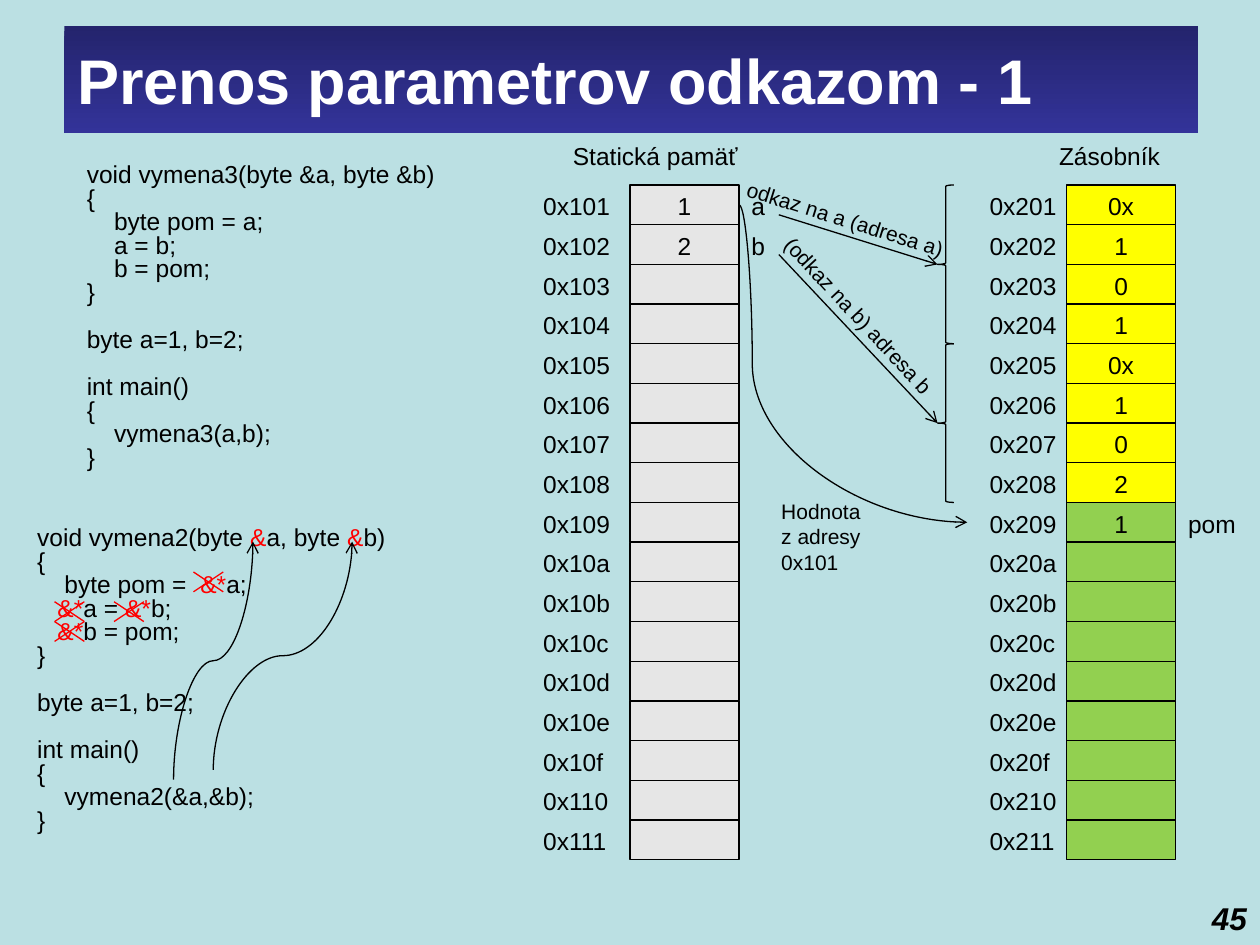
from lxml import etree
from pptx import Presentation
from pptx.dml.color import RGBColor
from pptx.enum.shapes import MSO_CONNECTOR, MSO_SHAPE
from pptx.enum.text import MSO_ANCHOR, MSO_AUTO_SIZE, PP_ALIGN
from pptx.oxml.ns import qn
from pptx.util import Cm, Pt

RECT, BRACE = MSO_SHAPE.RECTANGLE, MSO_SHAPE.LEFT_BRACE
STRAIGHT, CURVE = MSO_CONNECTOR.STRAIGHT, MSO_CONNECTOR.CURVE
TOP, MIDDLE = MSO_ANCHOR.TOP, MSO_ANCHOR.MIDDLE
LEFT, CENTER = PP_ALIGN.LEFT, PP_ALIGN.CENTER
NO_AUTOFIT = MSO_AUTO_SIZE.NONE

FONT = "Arial"
BLACK, RED, WHITE = "000000", "FF0000", "FFFFFF"
GREY, YELLOW, GREEN = "E6E6E6", "FFFF00", "92D050"
ROWS, ROW_H, CELL_W, MEMORY_TOP = 17, 0.8, 2.2, 3.73
LABEL_H = 0.86
STATIC_X, STACK_X = 12.7, 21.5
BLANK_LINE = 13.5

BYTE_VARS = [(0, "byte a=1, b=2;")]
CODE_REFERENCES = [
    [(0, "void vymena3(byte &a, byte &b)"), (0, "{"), (0.55, "byte pom = a;"),
     (0.55, "a = b;"), (0.55, "b = pom;"), (0, "}")],
    BYTE_VARS,
    [(0, "int main()"), (0, "{"), (0.55, "vymena3(a,b);"), (0, "}")],
]
CODE_POINTERS = [
    [(0, "void vymena2(byte |&|a, byte |&|b)"), (0, "{"),
     (0.55, "byte pom =  |&*|a;"), (0.41, "|&*|a = |&*|b;"),
     (0.41, "|&*|b = pom;"), (0, "}")],
    BYTE_VARS,
    [(0, "int main()"), (0, "{"), (0.55, "vymena2(&a,&b);"), (0, "}")],
]
CROSSES = [(3.9, 11.53), (1.1, 12.13), (2.3, 12.13), (1.1, 12.53)]


def rgb(color):
    return RGBColor.from_string(color)


def row_top(row):
    return MEMORY_TOP + row * ROW_H


def style_run(r, size, color=BLACK, bold=False, italic=False):
    r.font.name = FONT
    r.font.size = Pt(size)
    r.font.color.rgb = rgb(color)
    r.font.bold = bold
    r.font.italic = italic


def add_text(shapes, text, x, y, w, h=LABEL_H, size=14, wrap=True,
             rotation=0, emphasis=False):
    sp = shapes.add_textbox(Cm(x), Cm(y), Cm(w), Cm(h))
    sp.rotation = rotation
    tf = sp.text_frame
    tf.word_wrap = wrap
    tf.text = text
    style_run(tf.paragraphs[0].runs[0], size, bold=emphasis, italic=emphasis)


def add_outlined(shapes, kind, x, y, w, h, fill=None):
    sp = shapes.add_shape(kind, Cm(x), Cm(y), Cm(w), Cm(h))
    sp.shadow.inherit = False
    if fill:
        sp.fill.solid()
        sp.fill.fore_color.rgb = rgb(fill)
    else:
        sp.fill.background()
    sp.line.color.rgb = rgb(BLACK)
    sp.line.width = Pt(0.75)
    return sp


def add_cell(shapes, x, y, text, fill):
    sp = add_outlined(shapes, RECT, x, y, CELL_W, ROW_H, fill)
    tf = sp.text_frame
    tf.vertical_anchor = TOP
    if text:
        tf.text = text
        p = tf.paragraphs[0]
        p.alignment = CENTER
        style_run(p.runs[0], 14)


def add_memory(s, heading, heading_x, heading_w, label_x, cell_x, first, values, fills):
    shapes = s.shapes.add_group_shape().shapes
    add_text(shapes, heading, heading_x, 2.72, heading_w, wrap=False)
    for row in range(ROWS):
        text = values[row] if row < len(values) else ""
        add_cell(shapes, cell_x, row_top(row), text, fills[row])
        add_text(shapes, f"0x{first + row:x}", label_x, row_top(row), 2)


def add_line(s, kind, x1, y1, x2, y2, color=BLACK, arrow=False):
    cxn = s.shapes.add_connector(kind, Cm(x1), Cm(y1), Cm(x2), Cm(y2))
    cxn.line.color.rgb = rgb(color)
    cxn.line.width = Pt(0.75)
    if arrow:
        etree.SubElement(cxn.line._get_or_add_ln(), qn("a:tailEnd"), type="arrow")
    etree.SubElement(cxn._element.spPr, qn("a:effectLst"))
    return cxn


def add_upward_curve(s, x1, y1, x2, y2):
    cx, cy = (x1 + x2) / 2, (y1 + y2) / 2
    half_w, half_h = (y1 - y2) / 2, (x2 - x1) / 2
    cxn = add_line(s, CURVE, cx + half_w, cy + half_h, cx - half_w, cy - half_h, arrow=True)
    cxn._element.spPr.find(qn("a:xfrm")).set("rot", str(90 * 60000))


def bend_curve(cxn, share):
    guides = cxn._element.spPr.find(qn("a:prstGeom")).get_or_add_avLst()
    etree.SubElement(guides, qn("a:gd"), name="adj1", fmla=f"val {round(share * 100000)}")


def add_code(s, blocks, x, y):
    sp = s.shapes.add_textbox(Cm(x), Cm(y), Cm(10.77), Cm(6.48))
    tf = sp.text_frame
    tf.word_wrap = True
    p = None
    for block in blocks:
        for number, (indent, line) in enumerate(block):
            new_block = p is not None and number == 0
            p = tf.paragraphs[0] if p is None else tf.add_paragraph()
            p.line_spacing = 0.8
            if new_block:
                p.space_before = Pt(BLANK_LINE)
            if indent:
                p._p.get_or_add_pPr().set("marL", str(Cm(indent)))
            for part_number, part in enumerate(line.split("|")):
                if part:
                    r = p.add_run()
                    r.text = part
                    style_run(r, 14, RED if part_number % 2 else BLACK)


def set_title(s, text):
    sp = s.shapes.title
    sp.left, sp.top, sp.width, sp.height = Cm(1.3), Cm(0.53), Cm(22.86), Cm(2.15)
    sp.fill.gradient()
    sp.fill.gradient_angle = 270
    for stop, color, position in zip(sp.fill.gradient_stops, ("24246D", "333399"), (0, 1)):
        stop.color.rgb = rgb(color)
        stop.position = position
    tf = sp.text_frame
    tf.text = text
    tf.auto_size = NO_AUTOFIT
    tf.vertical_anchor = MIDDLE
    p = tf.paragraphs[0]
    p.alignment = LEFT
    style_run(p.runs[0], 36, WHITE, bold=True)


def main():
    prs = Presentation()
    prs.slide_width, prs.slide_height = Cm(25.4), Cm(19.05)
    s = prs.slides.add_slide(prs.slide_layouts[5])
    s.background.fill.solid()
    s.background.fill.fore_color.rgb = rgb("BBE0E3")
    set_title(s, "Prenos parametrov odkazom - 1")

    add_memory(s, "Statická pamäť", 11.3, 3.86, 10.7, STATIC_X, 0x101,
               ["1", "2"], [GREY] * ROWS)
    add_code(s, CODE_REFERENCES, 1.5, 3.2)
    for row, name in enumerate("ab"):
        add_text(s.shapes, name, STATIC_X + CELL_W, row_top(row), 0.8)

    for row, start_y in ((0, 4.33), (4, 5.13)):
        add_outlined(s.shapes, BRACE, 18.9, row_top(row), 0.33, 4 * ROW_H)
        add_line(s, STRAIGHT, 15.7, start_y, 18.9, row_top(row + 2), arrow=True)
    add_text(s.shapes, "odkaz na a (adresa a)", 14.73, 4.04, 4.65, 0.76, 12, False, 17.6)
    add_text(s.shapes, "(odkaz na b) adresa b", 14.99, 5.99, 4.65, 0.76, 12, False, 47.1)

    add_text(s.shapes, "pom", STACK_X + CELL_W, row_top(8), 1.6)
    value_curve = add_line(s, CURVE, STATIC_X + CELL_W, row_top(0.5),
                           19.5, row_top(8.5), arrow=True)
    bend_curve(value_curve, 0.058)
    add_text(s.shapes, "Hodnota z adresy 0x101", 15.5, 9.93, 2.2, 1.8, 12)

    add_code(s, CODE_POINTERS, 0.5, 10.52)
    add_upward_curve(s, 3.5, 15.72, 5.1, 10.92)
    add_upward_curve(s, 4.3, 15.52, 7.1, 10.92)
    for x, y in CROSSES:
        add_line(s, STRAIGHT, x, y, x + 0.6, y + 0.4, RED)
        add_line(s, STRAIGHT, x, y + 0.4, x + 0.6, y, RED)

    add_memory(s, "Zásobník", 21.1, 2.57, 19.7, STACK_X, 0x201,
               ["0x", "1", "0", "1", "0x", "1", "0", "2", "1"],
               [YELLOW] * 8 + [GREEN] * (ROWS - 8))
    add_text(s.shapes, "45", 24.18, 18, 1.22, 1.02, 18, False, emphasis=True)
    prs.save("out.pptx")


if __name__ == "__main__":
    main()
